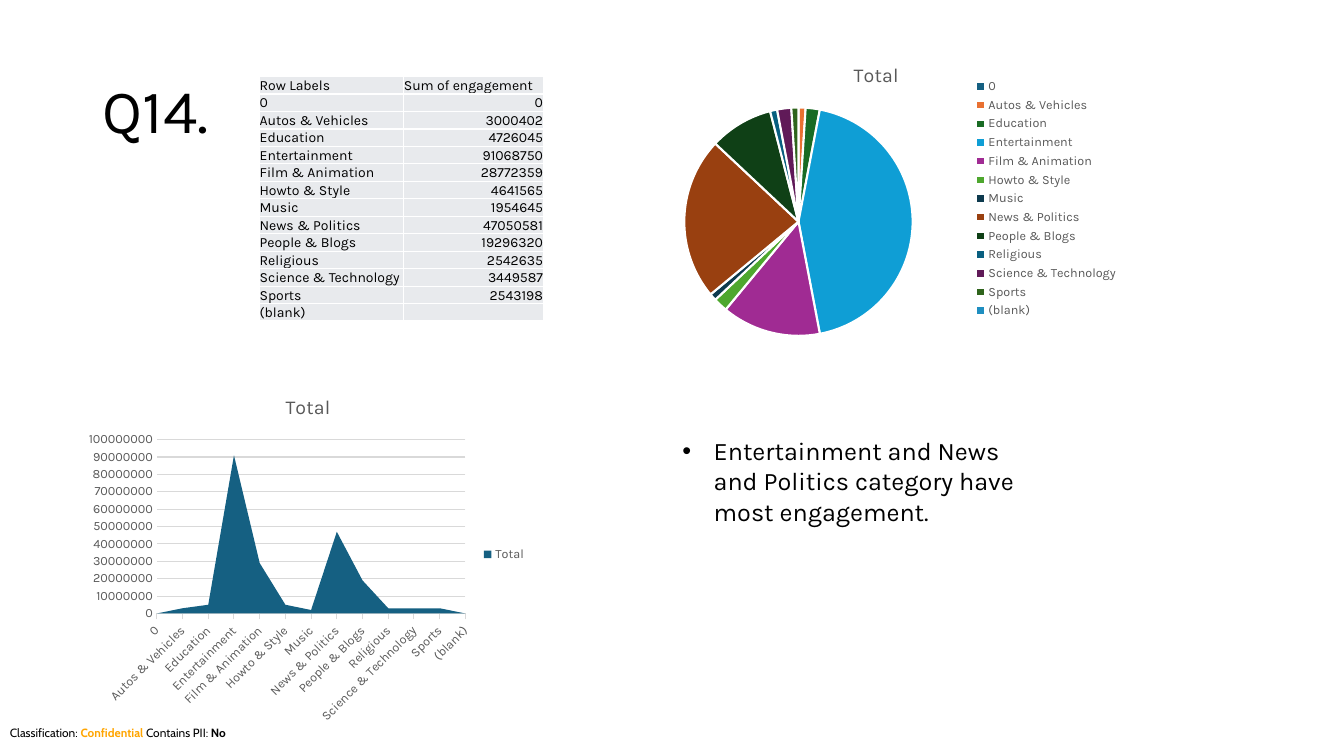
import pptx
import pptx.chart.data
import pptx.dml.color
import pptx.enum.chart
import pptx.enum.text
import pptx.oxml
import pptx.oxml.ns
import pptx.util
from pptx.util import Inches

COLORS = {
    "text": "000000",
    "muted": "595959",
    "grid": "D9D9D9",
    "cell": "E8EAED",
    "white": "FFFFFF",
    "confidential": "FFA500",
    "area": "156082",
}
SLICE_COLORS = [
    "156082", "E97132", "196B24", "0F9ED5", "A02B93", "4EA72E", "0D3A4E",
    "994010", "0F4016", "095F80", "601A58", "2F641C", "1F8EC0",
]
ENGAGEMENT = {
    "0": 0,
    "Autos & Vehicles": 3000402,
    "Education": 4726045,
    "Entertainment": 91068750,
    "Film & Animation": 28772359,
    "Howto & Style": 4641565,
    "Music": 1954645,
    "News & Politics": 47050581,
    "People & Blogs": 19296320,
    "Religious": 2542635,
    "Science & Technology": 3449587,
    "Sports": 2543198,
    "(blank)": None,
}
XL = pptx.enum.chart
NS = 'xmlns:a="http://schemas.openxmlformats.org/drawingml/2006/main"'


def rgb(name):
    return pptx.dml.color.RGBColor.from_string(COLORS.get(name, name))


def style_font(font, size, color="text", face="Karla", bold=False):
    font.size = pptx.util.Pt(size)
    font.name = face
    font.color.rgb = rgb(color)
    font.bold = bold


def add_text(slide, box, anchor=pptx.enum.text.MSO_ANCHOR.TOP):
    frame = slide.shapes.add_textbox(*map(Inches, box)).text_frame
    frame.word_wrap = True
    frame.vertical_anchor = anchor
    return frame.paragraphs[0]


def add_title(slide):
    title = add_text(slide, (0.92, 0.4, 11.5, 1.45), pptx.enum.text.MSO_ANCHOR.MIDDLE)
    title.text = "Q14."
    title.line_spacing = 0.9
    style_font(title.font, 44)


def add_finding(slide):
    finding = add_text(slide, (6.67, 4.27, 3.79, 1.01))
    finding.text = "Entertainment and News and Politics category have most engagement."
    properties = finding._p.get_or_add_pPr()
    properties.set("marL", str(Inches(0.31)))
    properties.set("indent", str(Inches(-0.31)))
    properties.append(pptx.oxml.parse_xml(f'<a:buFont {NS} typeface="Arial"/>'))
    properties.append(pptx.oxml.parse_xml(f'<a:buChar {NS} char="•"/>'))
    style_font(finding.font, 18)


def add_classification(slide):
    footer = add_text(slide, (0, 7.15, 13.33, 0.24))
    for words, color, bold in (
        ("Classification: ", "text", False),
        ("Confidential", "confidential", True),
        (" Contains PII: ", "text", False),
        ("No", "text", True),
    ):
        run = footer.add_run()
        run.text = words
        style_font(run.font, 8.5, color, "Cabin", bold)


def style_cell(cell, words, align):
    cell.fill.solid()
    cell.fill.fore_color.rgb = rgb("cell")
    cell.margin_left = cell.margin_right = cell.margin_top = pptx.util.Pt(0.4)
    cell.margin_bottom = 0
    cell.vertical_anchor = pptx.enum.text.MSO_ANCHOR.BOTTOM
    paragraph = cell.text_frame.paragraphs[0]
    paragraph.text = words
    paragraph.alignment = align
    style_font(paragraph.font, 10)
    if not words:
        paragraph._p.get_or_add_endParaRPr().set("sz", "1000")
    for position, side in enumerate(("lnL", "lnR", "lnT", "lnB")):
        border = (f'<a:{side} {NS} w="12700"><a:solidFill><a:srgbClr val="{COLORS["white"]}"/>'
                  f'</a:solidFill></a:{side}>')
        cell._tc.get_or_add_tcPr().insert(position, pptx.oxml.parse_xml(border))


def add_engagement_table(slide):
    rows = [("Row Labels", "Sum of engagement")]
    rows += [(label, "" if total is None else str(total)) for label, total in ENGAGEMENT.items()]
    box = map(Inches, (2.57, 0.76, 2.82, 2.43))
    table = slide.shapes.add_table(len(rows), 2, *box).table
    table.first_row = table.horz_banding = False
    table.columns[0].width = Inches(1.43)
    table.columns[1].width = Inches(1.39)
    align = pptx.enum.text.PP_ALIGN
    for row_number, row in enumerate(rows):
        for column, words in enumerate(row):
            side = align.RIGHT if row_number and column else align.LEFT
            style_cell(table.cell(row_number, column), words, side)


def scaled_engagement(divisor, unit=1):
    return [None if total is None else round(total / divisor) * unit
            for total in ENGAGEMENT.values()]


def add_total_chart(slide, kind, box, totals):
    data = pptx.chart.data.CategoryChartData()
    data.categories = list(ENGAGEMENT)
    data.add_series("Total", totals)
    chart = slide.shapes.add_chart(kind, *map(Inches, box), data).chart
    style_font(chart.font, 10)
    chart.has_title = True
    chart.chart_title.include_in_layout = False
    heading = chart.chart_title.text_frame.paragraphs[0]
    heading.text = "Total"
    style_font(heading.font, 14, "muted")
    chart.has_legend = True
    chart.legend.position = XL.XL_LEGEND_POSITION.RIGHT
    chart.legend.include_in_layout = False
    style_font(chart.legend.font, 9, "muted")
    return chart


def add_pie(slide):
    one_percent = sum(filter(None, ENGAGEMENT.values())) / 100
    shares = scaled_engagement(one_percent)
    chart = add_total_chart(slide, XL.XL_CHART_TYPE.PIE, (6.19, 0.47, 5, 3), shares)
    chart.plots[0].vary_by_categories = True
    for number, color in enumerate(SLICE_COLORS):
        piece = chart.plots[0].series[0].points[number].format
        piece.fill.solid()
        piece.fill.fore_color.rgb = rgb(color)
        piece.line.color.rgb = rgb("white")
        piece.line.width = pptx.util.Pt(1.5)


def style_line(line):
    line.color.rgb = rgb("grid")
    line.width = pptx.util.Pt(0.75)


def add_area(slide):
    million = 1000000
    totals = scaled_engagement(million, million)
    chart = add_total_chart(slide, XL.XL_CHART_TYPE.AREA, (0.79, 3.75, 4.53, 3.5), totals)
    chart.plots[0].vary_by_categories = False
    area = chart.plots[0].series[0].format.fill
    area.solid()
    area.fore_color.rgb = rgb("area")
    categories, values = chart.category_axis, chart.value_axis
    for axis in (categories, values):
        style_font(axis.tick_labels.font, 9, "muted")
        axis.minor_tick_mark = XL.XL_TICK_MARK.NONE
    categories.has_major_gridlines = False
    categories.major_tick_mark = XL.XL_TICK_MARK.OUTSIDE
    style_line(categories.format.line)
    label_body = categories._element.find(".//" + pptx.oxml.ns.qn("a:bodyPr"))
    label_body.set("rot", "-2700000")
    label_body.set("vert", "horz")
    values.major_tick_mark = XL.XL_TICK_MARK.NONE
    values.format.line.fill.background()
    values.has_major_gridlines = True
    style_line(values.major_gridlines.format.line)
    values.tick_labels.number_format = "General"
    values.tick_labels.number_format_is_linked = False
    for crossing in values._element.iter(pptx.oxml.ns.qn("c:crossBetween")):
        crossing.set("val", "midCat")


def main():
    deck = pptx.Presentation()
    deck.slide_width = Inches(13.33)
    deck.slide_height = Inches(7.5)
    slide = deck.slides.add_slide(deck.slide_layouts[6])
    add_classification(slide)
    add_title(slide)
    add_engagement_table(slide)
    add_pie(slide)
    add_area(slide)
    add_finding(slide)
    deck.save("out.pptx")


if __name__ == "__main__":
    main()
